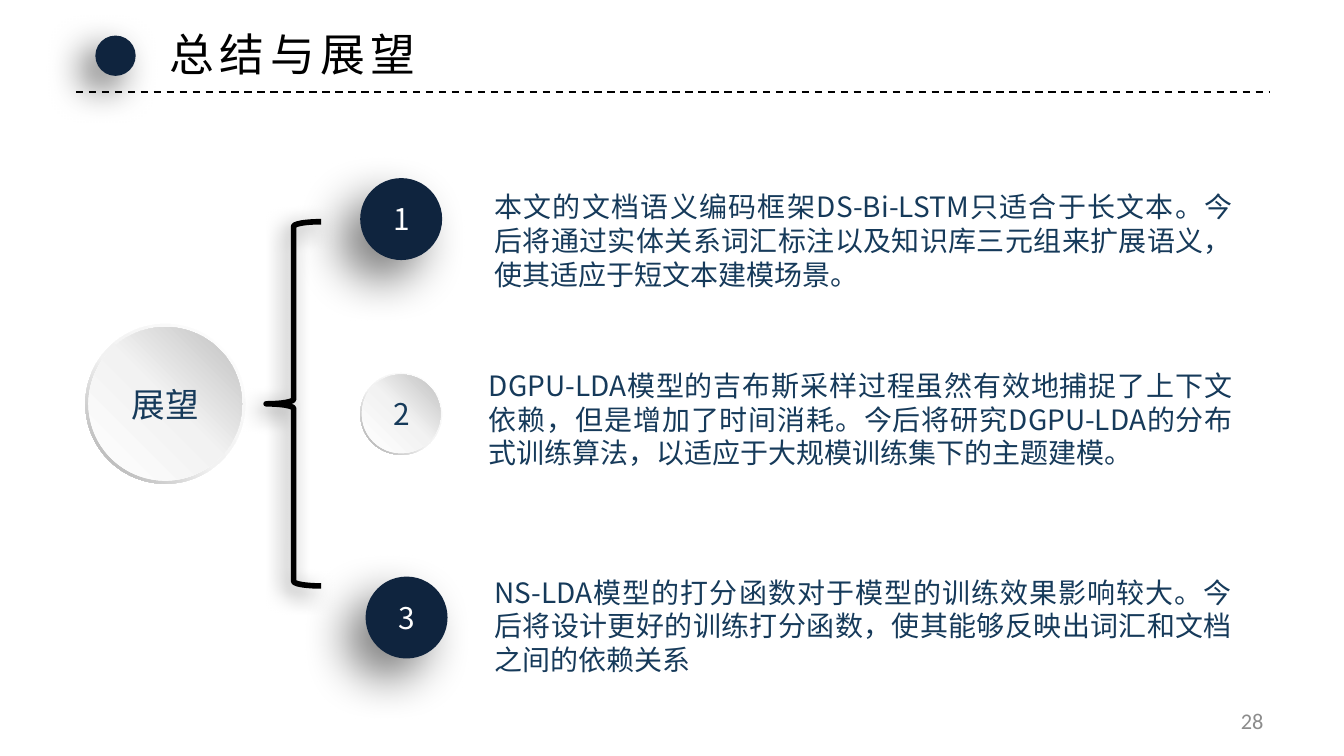
from dataclasses import dataclass
from lxml import etree
from pptx import Presentation
from pptx.dml.color import RGBColor
from pptx.enum.dml import MSO_LINE
from pptx.enum.shapes import MSO_CONNECTOR, MSO_SHAPE
from pptx.enum.text import MSO_ANCHOR, MSO_AUTO_SIZE, PP_ALIGN
from pptx.oxml.ns import qn
from pptx.util import Emu, Inches, Pt

OVAL, DONUT, BRACE = MSO_SHAPE.OVAL, MSO_SHAPE.DONUT, MSO_SHAPE.LEFT_BRACE
LEFT, MID, RIGHT, FULL = PP_ALIGN.LEFT, PP_ALIGN.CENTER, PP_ALIGN.RIGHT, PP_ALIGN.JUSTIFY
TOP, CENTER = MSO_ANCHOR.TOP, MSO_ANCHOR.MIDDLE
STRAIGHT, DASH = MSO_CONNECTOR.STRAIGHT, MSO_LINE.DASH
WIDE, COLS = Inches(10), 100
HIGH = Emu(WIDE * 9 // 16)
CELL = WIDE / COLS


@dataclass(frozen=True)
class Theme:
    navy: str = "0F243E"
    ink: str = "163A5A"
    black: str = "000000"
    white: str = "FFFFFF"
    gray: str = "8C8C8C"
    rim: tuple = ((0, "FFFFFF"), (55, "F2F2F2"), (100, "A6A6A6"))
    face: tuple = ((0, "FFFFFF"), (51, "F2F2F2"), (100, "BFBFBF"))
    font: str = "Noto Sans CJK SC"
    latin: str = "Calibri"
    title: int = 24
    hub: int = 18
    digit: int = 16
    body: int = 15
    foot: int = 12


T = Theme()

POINTS = (
    (13.25, 26.8, 35.8, 0.4, True,
     "本文的文档语义编码框架DS-Bi-LSTM只适合于长文本。今后将通过实体关系词汇标注以及知识库三元组来扩展语义，使其适应于短文本建模场景。"),
    (27.75, 26.8, 35.4, -0.8, False,
     "DGPU-LDA模型的吉布斯采样过程虽然有效地捕捉了上下文依赖，但是增加了时间消耗。今后将研究DGPU-LDA的分布式训练算法，以适应于大规模训练集下的主题建模。"),
    (42.9, 27.2, 35.8, -0.6, True,
     "NS-LDA模型的打分函数对于模型的训练效果影响较大。今后将设计更好的训练打分函数，使其能够反映出词汇和文档之间的依赖关系"),
)


def grid(*cells):
    return [Emu(round(cell * CELL)) for cell in cells]


def move(shape, box):
    shape.left, shape.top, shape.width, shape.height = grid(*box)


def write(shape, text, size, color, font=T.font, align=LEFT, anchor=TOP,
          wrap=True, space=0):
    frame = shape.text_frame
    frame.word_wrap = wrap
    frame.auto_size = MSO_AUTO_SIZE.NONE
    frame.vertical_anchor = anchor
    para = frame.paragraphs[0]
    para.alignment = align
    para.line_spacing = Pt(size * 1.2)
    run = para.add_run()
    run.text = text
    run.font.size = Pt(size)
    run.font.color.rgb = RGBColor.from_string(color)
    run.font.name = font
    props = run.font._element
    etree.SubElement(props, qn("a:ea")).set("typeface", font)
    if space:
        props.set("spc", str(space * 100))


def label(slide, box, text, size, color, **style):
    write(slide.shapes.add_textbox(*grid(*box)), text, size, color, **style)


def draw(shapes, kind, box):
    shape = shapes.add_shape(kind, *grid(*box))
    shape.shadow.inherit = False
    shape.fill.background()
    shape.line.fill.background()
    return shape


def paint(shape, color):
    shape.fill.solid()
    shape.fill.fore_color.rgb = RGBColor.from_string(color)


def add_color(parent, color):
    node = etree.SubElement(parent, qn("a:srgbClr"))
    node.set("val", color)
    return node


def blend(shape, stops, angle):
    shape.fill.gradient()
    shape.fill.gradient_angle = 360 - angle
    ramp = shape._element.spPr.find(".//" + qn("a:gsLst"))
    for stop in list(ramp):
        ramp.remove(stop)
    for place, color in stops:
        stop = etree.SubElement(ramp, qn("a:gs"))
        stop.set("pos", str(place * 1000))
        add_color(stop, color)


def shade(shape, alpha, blur, gap):
    effect = shape._element.spPr.find(qn("a:effectLst"))
    cast = etree.SubElement(effect, qn("a:outerShdw"))
    for key, value in (("blurRad", Pt(blur)), ("dist", Pt(gap)),
                       ("dir", 135 * 60000), ("algn", "tr"), ("rotWithShape", 0)):
        cast.set(key, str(value))
    tone = add_color(cast, T.black)
    etree.SubElement(tone, qn("a:alpha")).set("val", str(alpha * 1000))


def disc(slide, box, alpha, blur, gap):
    shape = draw(slide.shapes, OVAL, box)
    paint(shape, T.navy)
    shade(shape, alpha, blur, gap)


def orb(slide, box):
    x, y, w, h = box
    group = slide.shapes.add_group_shape()
    rim = draw(group.shapes, DONUT, box)
    rim.adjustments[0] = 0.05
    blend(rim, T.rim, 135)
    face = draw(group.shapes, OVAL, (x + w * 0.02, y + h * 0.02, w * 0.96, h * 0.96))
    blend(face, T.face, 315)
    return face


def header(slide, box, text):
    x, y, w, h = box
    rule = slide.shapes.add_connector(STRAIGHT, *grid(x, y + h, x + w, y + h))
    rule.line.color.rgb = RGBColor.from_string(T.black)
    rule.line.width = Pt(1)
    rule.line.dash_style = DASH
    etree.SubElement(rule._element.spPr, qn("a:effectLst"))
    disc(slide, (x + 1.45, y + 1.15, 3, 3), 60, 20, 10)
    title = slide.shapes.title
    move(title, (x + 5.95, y, 21, 5))
    write(title, text, T.title, T.black, wrap=False, space=3)


def hub(slide, box, text):
    x, y, w, h = box
    face = orb(slide, (x, y + (h - 11.9) / 2, 11.9, 11.9))
    write(face, text, T.hub, T.ink, align=MID, anchor=CENTER)
    brace = draw(slide.shapes, BRACE, (x + w - 4.1, y, 4.1, h))
    brace.line.color.rgb = RGBColor.from_string(T.black)
    brace.line.width = Pt(3)
    shade(brace, 50, 11, 5)


def point(slide, box, number, start, shift, dark, text):
    x, y, w, h = box
    ball = (x, y, 6.1, 6.1)
    if dark:
        disc(slide, ball, 50, 25, 15)
    else:
        orb(slide, ball)
    label(slide, (x + 1.5, y + 1.2, 4.2, 3.7), str(number), T.digit,
          T.white if dark else T.ink)
    label(slide, (start, y + shift, x + w - start, h), text, T.body, T.ink,
          align=FULL)


def main():
    deck = Presentation()
    deck.slide_width, deck.slide_height = WIDE, HIGH
    slide = deck.slides.add_slide(deck.slide_layouts[5])
    header(slide, (5.65, 1.5, 88.75, 5.35), "总结与展望")
    hub(slide, (6.35, 16.5, 17.55, 27.1), "展望")
    for number, (y, x, start, shift, dark, text) in enumerate(POINTS, 1):
        point(slide, (x, y, 92.7 - x, 8.6), number, start, shift, dark, text)
    label(slide, (71.7, 52.15, 23.3, 3), "28", T.foot, T.gray, font=T.latin,
          align=RIGHT, anchor=CENTER)
    deck.save("out.pptx")


if __name__ == "__main__":
    main()
